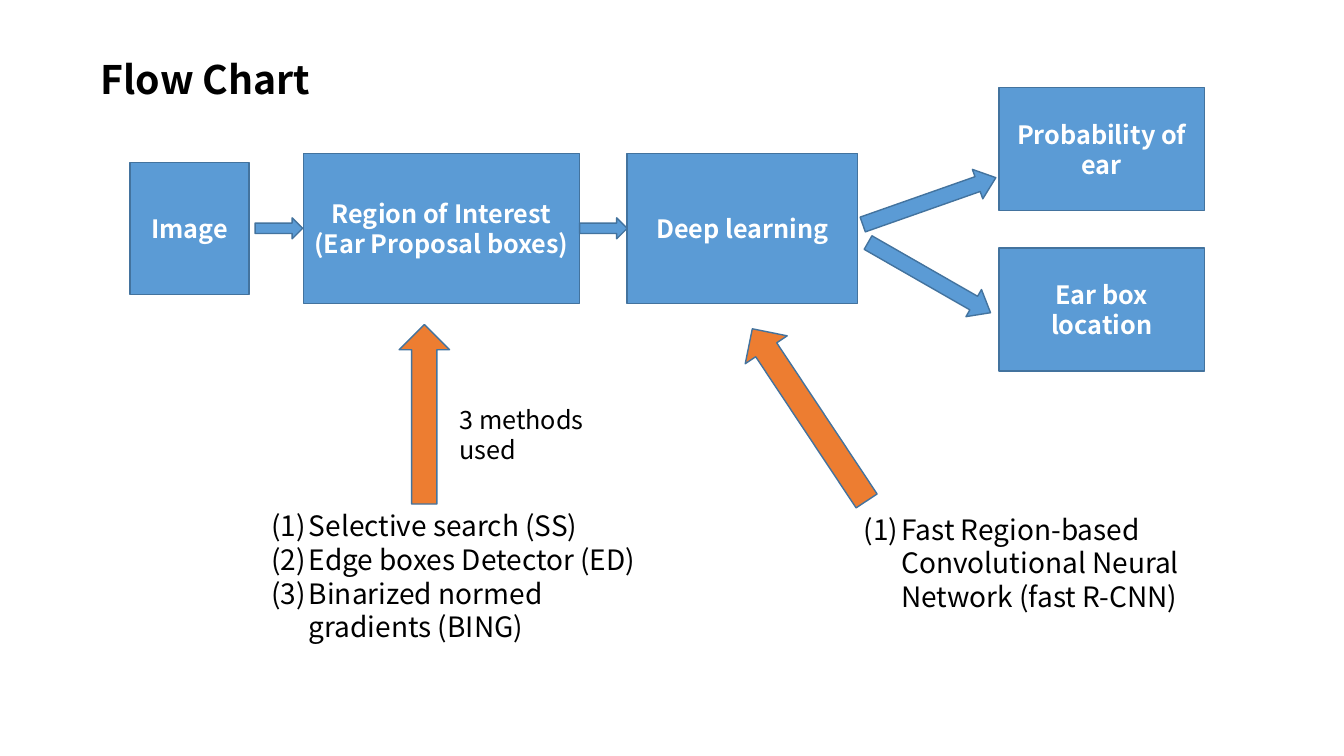
from dataclasses import dataclass

import pptx
import pptx.dml.color
import pptx.enum.shapes
import pptx.enum.text
import pptx.oxml.ns
import pptx.util
from lxml import etree

Pt = pptx.util.Pt
Shapes = pptx.enum.shapes.MSO_SHAPE
FONT = "Noto Sans CJK SC"
COLORS = {"blue": "5B9BD5", "edge": "43739E", "orange": "ED7D31",
          "white": "FFFFFF", "black": "000000"}


@dataclass(frozen=True)
class Box:
    left: float
    top: float
    width: float
    height: float


@dataclass(frozen=True)
class Step:
    label: str
    box: Box


@dataclass(frozen=True)
class Arrow:
    kind: Shapes
    box: Box
    color: str = "blue"
    rotation: float = 0
    head: float = 0.5


@dataclass(frozen=True)
class Note:
    box: Box
    lines: tuple[str, ...]
    size: float
    bold: bool = False
    numbered: bool = False


# Stages of the flow
ROW_MIDDLE = 163.1
OUTPUT_LEFT, OUTPUT_WIDTH, OUTPUT_HEIGHT = 713.5, 146.9, 87.8


def stage(label: str, left: float, width: float, height: float) -> Step:
    return Step(label, Box(left, ROW_MIDDLE - height / 2, width, height))


def output(label: str, top: float) -> Step:
    return Step(label, Box(OUTPUT_LEFT, top, OUTPUT_WIDTH, OUTPUT_HEIGHT))


STEPS = [
    stage("Region of Interest (Ear Proposal boxes)", 216.7, 197.3, 107.3),
    stage("Image", 92.9, 85, 94.3),
    stage("Deep learning", 447.8, 164.9, 107.3),
    output("Probability of ear", 62.6),
    output("Ear box location", 177.1),
]

ARROWS = [
    *(Arrow(Shapes.RIGHT_ARROW, Box(left, ROW_MIDDLE - 7.5, 34, 15))
      for left in (182.2, 414)),
    *(Arrow(Shapes.RIGHT_ARROW, Box(613.4, top, 100.8, 22.3), rotation=angle, head=0.62)
      for top, angle in ((132.5, 340.6), (187.2, 29.8))),
    Arrow(Shapes.UP_ARROW, Box(285.1, 231.8, 36, 128.2), "orange"),
    Arrow(Shapes.UP_ARROW, Box(560.2, 222.5, 36, 147.6), "orange", 326.4),
]

NOTES = [
    Note(Box(64.8, 36, 485.3, 41), ("Flow Chart",), 28, bold=True),
    Note(Box(321.1, 285.1, 103.7, 51), ("3 methods used",), 18),
    Note(Box(186.5, 360, 288.7, 104.4),
         ("Selective search (SS)", "Edge boxes Detector (ED)",
          "Binarized normed gradients (BING)"), 20, numbered=True),
    Note(Box(609.8, 362.2, 288.7, 80),
         ("Fast Region-based Convolutional Neural Network (fast R-CNN)",),
         20, numbered=True),
]


def rgb(name: str) -> pptx.dml.color.RGBColor:
    return pptx.dml.color.RGBColor.from_string(COLORS[name])


def place(box: Box) -> tuple[pptx.util.Length, ...]:
    return Pt(box.left), Pt(box.top), Pt(box.width), Pt(box.height)


def set_font(paragraph, size: float, color: str, bold: bool) -> None:
    font = paragraph.font
    font.name, font.size, font.bold = FONT, Pt(size), bold
    font.color.rgb = rgb(color)
    # East Asian face matches the Latin one
    east_asian = etree.SubElement(paragraph._p.pPr.defRPr, pptx.oxml.ns.qn("a:ea"))
    east_asian.set("typeface", FONT)


def number(paragraph) -> None:
    properties = paragraph._p.get_or_add_pPr()
    properties.set("marL", str(Pt(27)))
    properties.set("indent", str(-Pt(27)))
    bullet = etree.SubElement(properties, pptx.oxml.ns.qn("a:buAutoNum"))
    bullet.set("type", "arabicParenBoth")


def add_filled(slide, kind: Shapes, box: Box, color: str):
    shape = slide.shapes.add_shape(kind, *place(box))
    shape.shadow.inherit = False
    shape.fill.solid()
    shape.fill.fore_color.rgb = rgb(color)
    shape.line.color.rgb = rgb("edge")
    shape.line.width = Pt(1)
    return shape


def add_step(slide, step: Step) -> None:
    frame = add_filled(slide, Shapes.RECTANGLE, step.box, "blue").text_frame
    frame.word_wrap = True
    frame.vertical_anchor = pptx.enum.text.MSO_ANCHOR.MIDDLE
    paragraph = frame.paragraphs[0]
    paragraph.text = step.label
    paragraph.alignment = pptx.enum.text.PP_ALIGN.CENTER
    set_font(paragraph, 18, "white", True)


def add_arrow(slide, arrow: Arrow) -> None:
    shape = add_filled(slide, arrow.kind, arrow.box, arrow.color)
    shape.rotation = arrow.rotation
    shape.adjustments[1] = arrow.head


def add_note(slide, note: Note) -> None:
    frame = slide.shapes.add_textbox(*place(note.box)).text_frame
    frame.word_wrap = True
    frame.auto_size = pptx.enum.text.MSO_AUTO_SIZE.SHAPE_TO_FIT_TEXT
    for index, line in enumerate(note.lines):
        paragraph = frame.add_paragraph() if index else frame.paragraphs[0]
        paragraph.text = line
        if note.numbered:
            number(paragraph)
        set_font(paragraph, note.size, "black", note.bold)


def main() -> None:
    presentation = pptx.Presentation()
    presentation.slide_width, presentation.slide_height = Pt(960), Pt(540)
    slide = presentation.slides.add_slide(presentation.slide_layouts[6])
    for step in STEPS:
        add_step(slide, step)
    for arrow in ARROWS:
        add_arrow(slide, arrow)
    for note in NOTES:
        add_note(slide, note)
    presentation.save("out.pptx")


if __name__ == "__main__":
    main()
